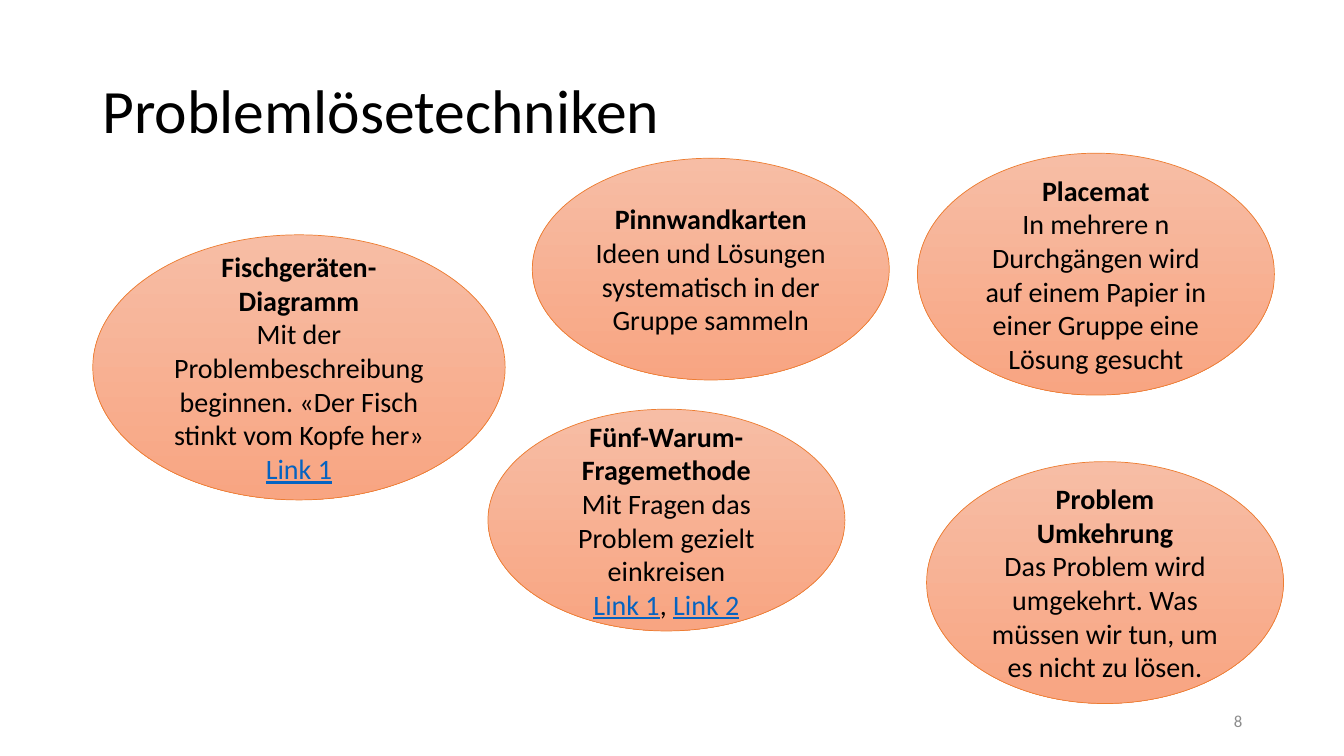
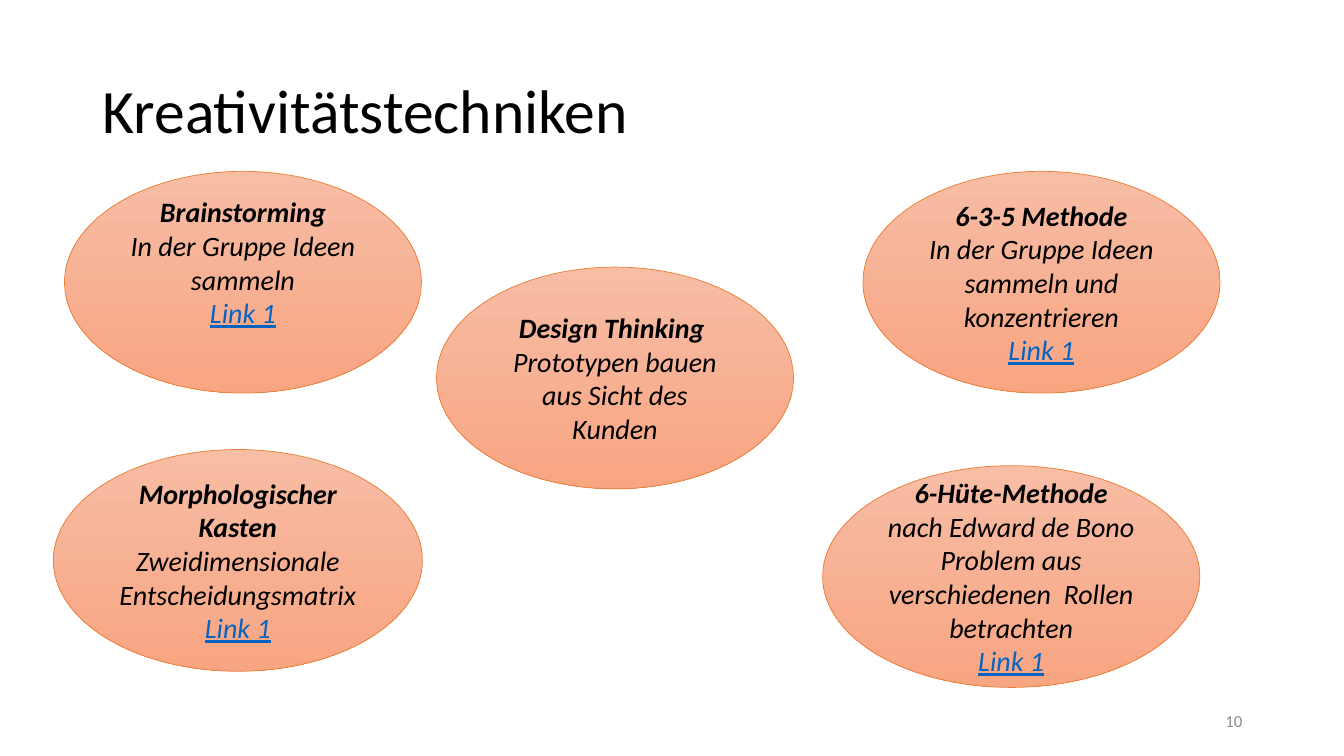
from pptx import Presentation
from pptx.dml.color import RGBColor
from pptx.enum.shapes import MSO_SHAPE as Shape
from pptx.enum.text import MSO_ANCHOR as Anchor, PP_ALIGN as Align
from pptx.util import Inches, Pt

BLACK = RGBColor(0x00, 0x00, 0x00)
GREY = RGBColor(0x8C, 0x8C, 0x8C)
LINK_BLUE = RGBColor(0x05, 0x63, 0xC1)
ORANGE = RGBColor(0xED, 0x7D, 0x31)
PEACH_TOP = RGBColor(0xF7, 0xBD, 0xA5)
PEACH_BOTTOM = RGBColor(0xF8, 0xA5, 0x82)
FONT = "Calibri"
BUBBLE_WIDTH, BUBBLE_HEIGHT = 3.54, 2.2


class Deck:
    def __init__(self):
        self.prs = Presentation()
        self.prs.slide_width, self.prs.slide_height = Inches(13.33), Inches(7.5)
        self.slide = None
        self.italic = False

    def add_slide(self, title, number, italic=False):
        """Start a slide; italic applies to the text of its bubbles."""
        self.slide = self.prs.slides.add_slide(self.prs.slide_layouts[6])
        self.italic = italic
        heading = self.label(title, (0.92, 0.4, 11.5, 1.45), 44, BLACK, Align.LEFT)
        heading.line_spacing = 0.9
        self.label(number, (9.42, 6.95, 3, 0.4), 12, GREY, Align.RIGHT)

    def style(self, paragraph, size, color, align):
        paragraph.alignment = align
        font = paragraph.font
        font.name, font.size, font.color.rgb = FONT, Pt(size), color
        return font

    def label(self, text, box, size, color, align):
        frame = self.slide.shapes.add_textbox(*map(Inches, box)).text_frame
        frame.word_wrap = True
        frame.vertical_anchor = Anchor.MIDDLE
        paragraph = frame.paragraphs[0]
        paragraph.text = text
        self.style(paragraph, size, color, align)
        return paragraph

    def bubble(self, left, top, name, lines, links=(), width=BUBBLE_WIDTH,
               height=BUBBLE_HEIGHT, bottom_inset=0.05):
        """Ellipse with a bold name, text lines and a row of link labels."""
        ellipse = self.slide.shapes.add_shape(
            Shape.OVAL, *map(Inches, (left, top, width, height)))
        ellipse.shadow.inherit = False
        ellipse.line.color.rgb, ellipse.line.width = ORANGE, Pt(0.5)
        ellipse.fill.gradient()
        ellipse.fill.gradient_angle = 270
        for stop, color in zip(ellipse.fill.gradient_stops, (PEACH_TOP, PEACH_BOTTOM)):
            stop.color.rgb = color

        frame = ellipse.text_frame
        frame.word_wrap = True
        frame.vertical_anchor = Anchor.MIDDLE
        frame.margin_left = frame.margin_right = Inches(0.08)
        frame.margin_bottom = Inches(bottom_inset)
        heading = frame.paragraphs[0]
        heading.text = name
        self.bubble_font(heading).bold = True
        for line in lines:
            paragraph = frame.add_paragraph()
            paragraph.text = line
            self.bubble_font(paragraph)
        if links:
            self.link_row(frame.add_paragraph(), links)

    def bubble_font(self, paragraph):
        font = self.style(paragraph, 20, BLACK, Align.CENTER)
        font.italic = self.italic
        return font

    def link_row(self, paragraph, links):
        self.bubble_font(paragraph)
        for index, link in enumerate(links):
            if index:
                paragraph.add_run().text = ", "
            run = paragraph.add_run()
            run.text = link
            run.font.color.rgb = LINK_BLUE
            run.font.underline = True


def main():
    deck = Deck()

    deck.add_slide("Problemlösetechniken", "8")
    deck.bubble(9.19, 4.58, "Problem Umkehrung",
                ["Das Problem wird umgekehrt. Was müssen wir tun, um es nicht zu lösen."],
                height=2.4)
    deck.bubble(9.1, 1.52, "Placemat",
                ["In mehrere n Durchgängen wird auf einem Papier in einer Gruppe "
                 "eine Lösung gesucht"], height=2.4)
    deck.bubble(4.84, 4.06, "Fünf-Warum-Fragemethode",
                ["Mit Fragen das Problem gezielt einkreisen"], ["Link 1", "Link 2"])
    deck.bubble(0.92, 2.33, "Fischgeräten-Diagramm",
                ["Mit der Problembeschreibung beginnen. «Der Fisch stinkt vom Kopfe her»"],
                ["Link 1"], width=4.09, height=2.63)
    deck.bubble(5.28, 1.57, "Pinnwandkarten",
                ["Ideen und Lösungen systematisch in der Gruppe sammeln"])

    deck.add_slide("Kreativitätstechniken", "10", italic=True)
    deck.bubble(8.56, 1.7, "6-3-5 Methode",
                ["In der Gruppe Ideen sammeln und konzentrieren"], ["Link 1"])
    deck.bubble(8.16, 4.62, "6-Hüte-Methode",
                ["nach Edward de Bono", "Problem aus verschiedenen  Rollen betrachten"],
                ["Link 1"], width=3.74)
    deck.bubble(0.64, 1.7, "Brainstorming", ["In der Gruppe Ideen sammeln"],
                ["Link 1"], bottom_inset=0.45)
    deck.bubble(4.33, 2.65, "Design Thinking ", ["Prototypen bauen aus Sicht des Kunden"])
    deck.bubble(0.53, 4.46, "Morphologischer Kasten",
                ["Zweidimensionale Entscheidungsmatrix"], ["Link 1"], width=3.66)

    deck.prs.save("out.pptx")


if __name__ == "__main__":
    main()
